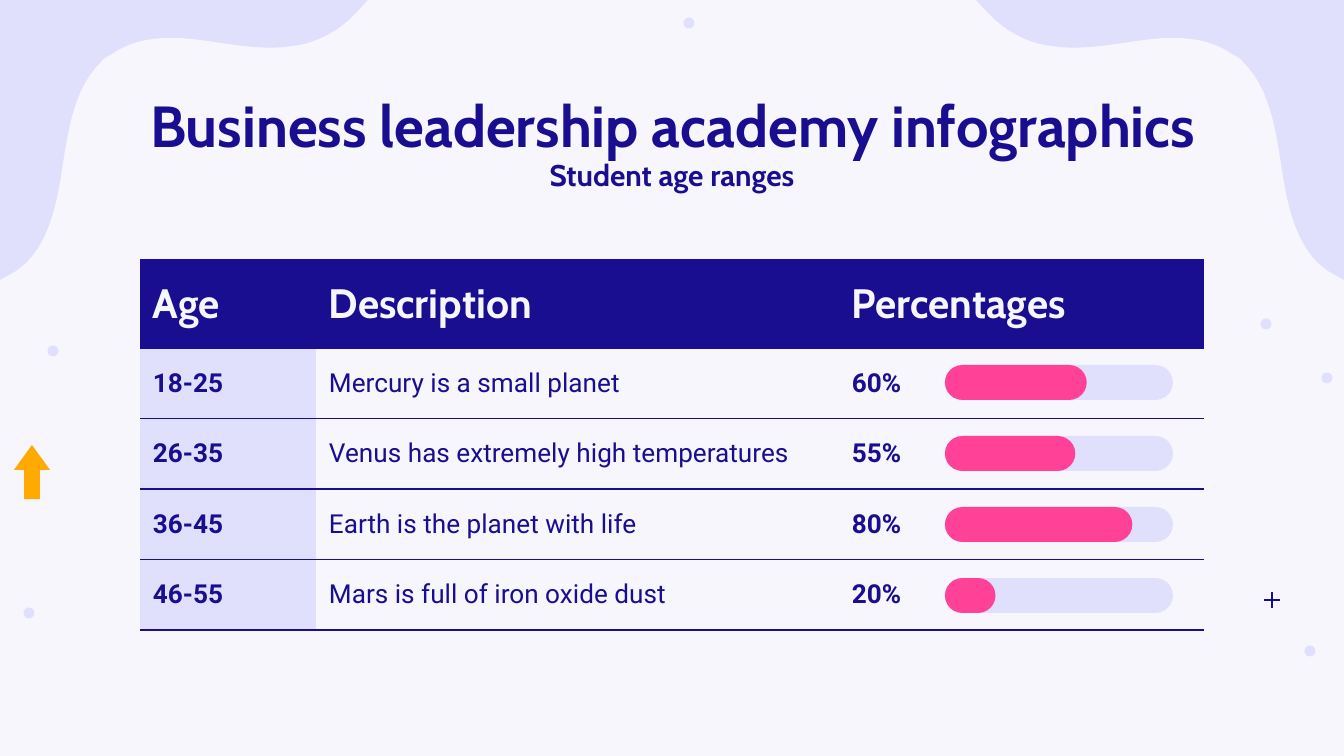
from dataclasses import dataclass

from lxml.etree import SubElement
from pptx import Presentation
from pptx.dml.color import RGBColor
from pptx.enum.shapes import MSO_CONNECTOR, MSO_SHAPE
from pptx.enum.text import MSO_ANCHOR, MSO_AUTO_SIZE, PP_ALIGN
from pptx.oxml.ns import qn
from pptx.util import Pt


@dataclass(frozen=True)
class Theme:
    paper: str = "F6F6FC"
    navy: str = "1A0E90"
    lilac: str = "E0E0FD"
    pink: str = "FF4298"
    orange: str = "FFAA00"
    heading: str = "Cabin"
    body: str = "Roboto"
    title_size: int = 31
    subtitle_size: int = 16
    header_size: int = 22
    cell_size: int = 14
    rule_width: float = 0.75


THEME = Theme()

# Content
TITLE = "Business leadership academy infographics"
SUBTITLE = "Student age ranges"
HEADERS = ["Age", "Description", "Percentages"]
ROWS = [
    ("18-25", "Mercury is a small planet", 60),
    ("26-35", "Venus has extremely high temperatures", 55),
    ("36-45", "Earth is the planet with life", 80),
    ("46-55", "Mars is full of iron oxide dust", 20),
]

# Geometry in px
SLIDE_W, SLIDE_H = 1344, 756
INSET = 13
TABLE_X, TABLE_Y, TABLE_H, HEADER_H = 140, 260, 370, 88
COLUMNS = [176, 523, 365]
BAR_X, BAR_Y, BAR_W, BAR_H, BAR_PITCH = 945, 365, 228, 35, 71
BAR_CAP = 5  # extra length of the filled end
DOT = 11
DOT_CENTRES = [(53, 351), (1310, 651), (1327, 378), (689, 23), (29, 613), (1266, 324)]
PLUS_X, PLUS_Y, PLUS_ARM = 1272, 600, 8

# Corner wave: cubic curves as (control, control, end), following WAVE_START
WAVE_START = (26, 263)
WAVE = [
    ((51, 238), (58, 198), (63, 163)),
    ((69, 126), (75, 87), (101, 62)),
    ((103, 59), (108, 56), (112, 54)),
    ((137, 36), (171, 36), (200, 40)),
    ((231, 44), (262, 51), (293, 46)),
    ((317, 43), (339, 31), (356, 13)),
]
CURVE_STEPS = 12
EMU_PER_PX = 914400 / 134.4


def px(n):
    return round(n * EMU_PER_PX)


def box(*lengths):
    return [px(n) for n in lengths]


def rgb(colour):
    return RGBColor.from_string(colour)


def paint(sp, colour):
    sp.fill.solid()
    sp.fill.fore_color.rgb = rgb(colour)
    sp.line.fill.background()
    sp.shadow.inherit = False


def add_shape(s, kind, x, y, w, h, colour):
    sp = s.shapes.add_shape(kind, *box(x, y, w, h))
    paint(sp, colour)
    return sp


def style(p, font, size, colour, bold):
    for r in p.runs:
        r.font.name, r.font.size, r.font.bold = font, Pt(size), bold
        r.font.color.rgb = rgb(colour)


def set_heading(sp, text, size, spacing):
    tf = sp.text_frame
    tf.text = text
    tf.word_wrap = True
    tf.auto_size = MSO_AUTO_SIZE.NONE
    tf.vertical_anchor = MSO_ANCHOR.TOP
    tf.margin_left = tf.margin_right = tf.margin_top = tf.margin_bottom = px(INSET)
    p = tf.paragraphs[0]
    p.alignment, p.line_spacing = PP_ALIGN.CENTER, spacing
    style(p, THEME.heading, size, THEME.navy, True)


def wave_points():
    points = [(0, 0), (0, 280), (16, 271), WAVE_START]
    for a, b, end in WAVE:
        start = points[-1]
        for i in range(1, CURVE_STEPS + 1):
            t = i / CURVE_STEPS
            u = 1 - t
            points.append(tuple(
                u**3 * p0 + 3 * u * u * t * p1 + 3 * u * t * t * p2 + t**3 * p3
                for p0, p1, p2, p3 in zip(start, a, b, end)))
    return points + [(368, 0)]


def add_wave(s, mirrored):
    points = [box(SLIDE_W - x if mirrored else x, y) for x, y in wave_points()]
    builder = s.shapes.build_freeform(*points[0])
    builder.add_line_segments(points[1:], close=True)
    paint(builder.convert_to_shape(), THEME.lilac)


def add_line(s, *ends):
    line = s.shapes.add_connector(MSO_CONNECTOR.STRAIGHT, *box(*ends))
    line.line.color.rgb = rgb(THEME.navy)
    line.line.width = Pt(THEME.rule_width)
    SubElement(line._element.spPr, qn("a:effectLst"))


def set_borders(cell):
    """Rule the cell above and below, and clear its sides."""
    pr = cell._tc.get_or_add_tcPr()
    for i, side in enumerate(("lnL", "lnR", "lnT", "lnB")):
        ln = pr.makeelement(qn(f"a:{side}"), {"w": str(Pt(THEME.rule_width))})
        pr.insert(i, ln)
        if side in ("lnL", "lnR"):
            SubElement(ln, qn("a:noFill"))
        else:
            fill = SubElement(ln, qn("a:solidFill"))
            SubElement(fill, qn("a:srgbClr"), val=THEME.navy)


def set_cell(cell, text, fill, font, size, colour, bold):
    cell.text = text
    cell.vertical_anchor = MSO_ANCHOR.MIDDLE
    cell.margin_left = cell.margin_right = cell.margin_top = cell.margin_bottom = px(INSET)
    style(cell.text_frame.paragraphs[0], font, size, colour, bold)
    if fill:
        cell.fill.solid()
        cell.fill.fore_color.rgb = rgb(fill)
    else:
        cell.fill.background()
    set_borders(cell)


def add_age_table(s):
    frame = s.shapes.add_table(len(ROWS) + 1, len(COLUMNS),
                               *box(TABLE_X, TABLE_Y, sum(COLUMNS), TABLE_H))
    table = frame.table
    table.first_row = table.horz_banding = False
    for column, width in zip(table.columns, COLUMNS):
        column.width = px(width)
    for i, row in enumerate(table.rows):
        row.height = px((TABLE_H - HEADER_H) / len(ROWS) if i else HEADER_H)
    for c, text in enumerate(HEADERS):
        set_cell(table.cell(0, c), text, THEME.navy, THEME.heading,
                 THEME.header_size, THEME.paper, True)
    for r, (age, description, percent) in enumerate(ROWS, 1):
        for c, text in enumerate((age, description, f"{percent}%")):
            set_cell(table.cell(r, c), text, None if c else THEME.lilac,
                     THEME.body, THEME.cell_size, THEME.navy, c != 1)


def main():
    prs = Presentation()
    prs.slide_width, prs.slide_height = box(SLIDE_W, SLIDE_H)
    s = prs.slides.add_slide(prs.slide_layouts[5])
    s.background.fill.solid()
    s.background.fill.fore_color.rgb = rgb(THEME.paper)

    # Decoration
    for x, y in DOT_CENTRES:
        add_shape(s, MSO_SHAPE.OVAL, x - DOT / 2, y - DOT / 2, DOT, DOT, THEME.lilac)
    arrow = add_shape(s, MSO_SHAPE.UP_ARROW, 14, 445, 36, 54, THEME.orange)
    arrow.adjustments[0], arrow.adjustments[1] = 0.44, 0.69
    add_line(s, PLUS_X - PLUS_ARM, PLUS_Y, PLUS_X + PLUS_ARM, PLUS_Y)
    add_line(s, PLUS_X, PLUS_Y + PLUS_ARM, PLUS_X, PLUS_Y - PLUS_ARM)
    for mirrored in (False, True):
        add_wave(s, mirrored)

    # Headings
    title = s.shapes.title
    title.left, title.top, title.width, title.height = box(106, 66, 1133, 84)
    set_heading(title, TITLE, THEME.title_size, 1.15)
    subtitle = s.shapes.add_textbox(*box(351, 144, 642, 59))
    set_heading(subtitle, SUBTITLE, THEME.subtitle_size, 1.0)

    # Table and percentage bars
    add_age_table(s)
    for i, (_, _, percent) in enumerate(ROWS):
        filled = BAR_W * percent / 100 + BAR_CAP
        for width, colour in ((BAR_W, THEME.lilac), (filled, THEME.pink)):
            bar = add_shape(s, MSO_SHAPE.ROUNDED_RECTANGLE, BAR_X,
                            BAR_Y + i * BAR_PITCH, width, BAR_H, colour)
            bar.adjustments[0] = 0.5

    prs.save("out.pptx")


if __name__ == "__main__":
    main()
